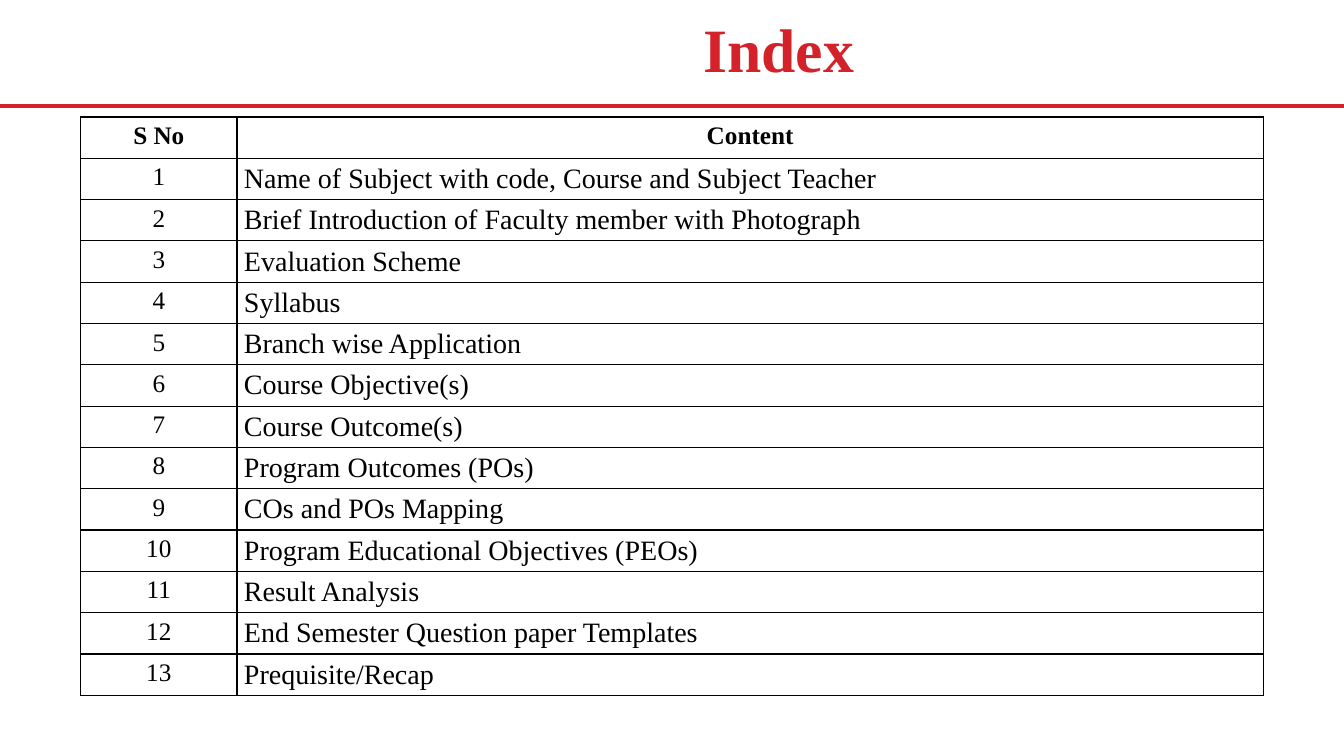
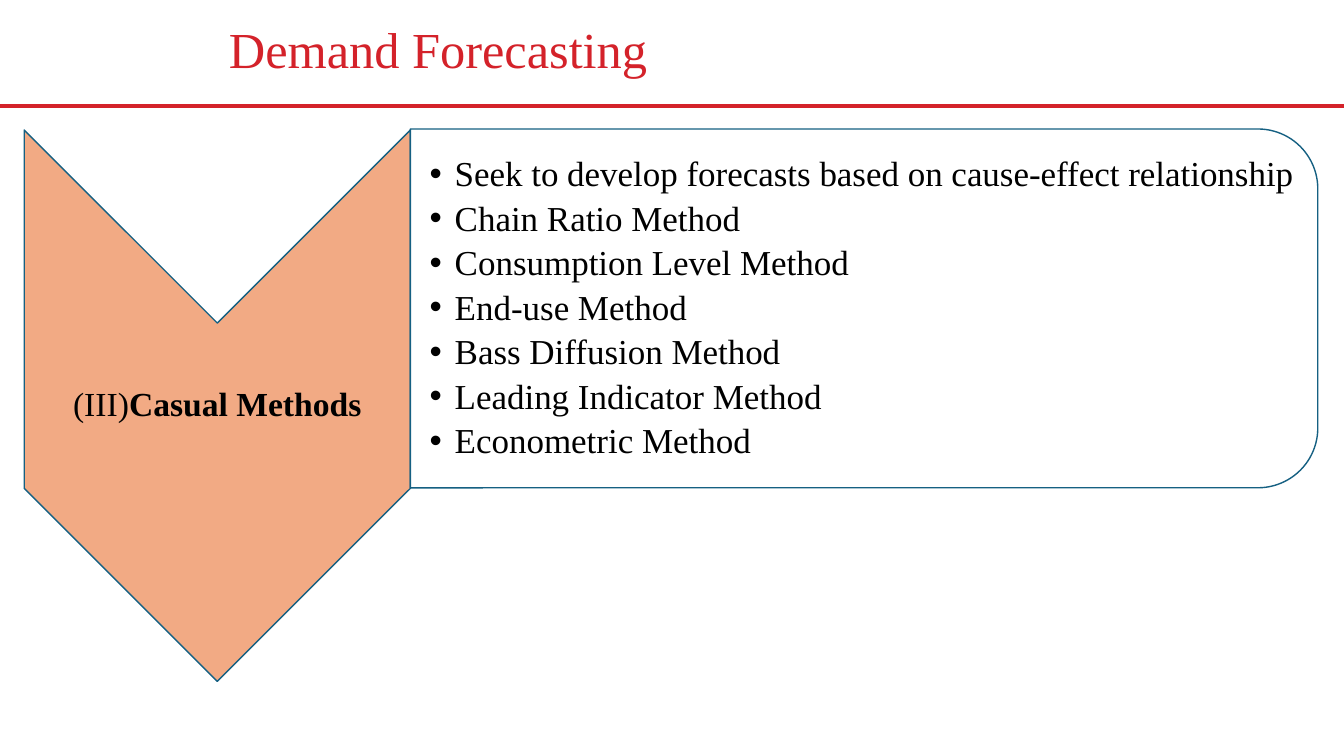
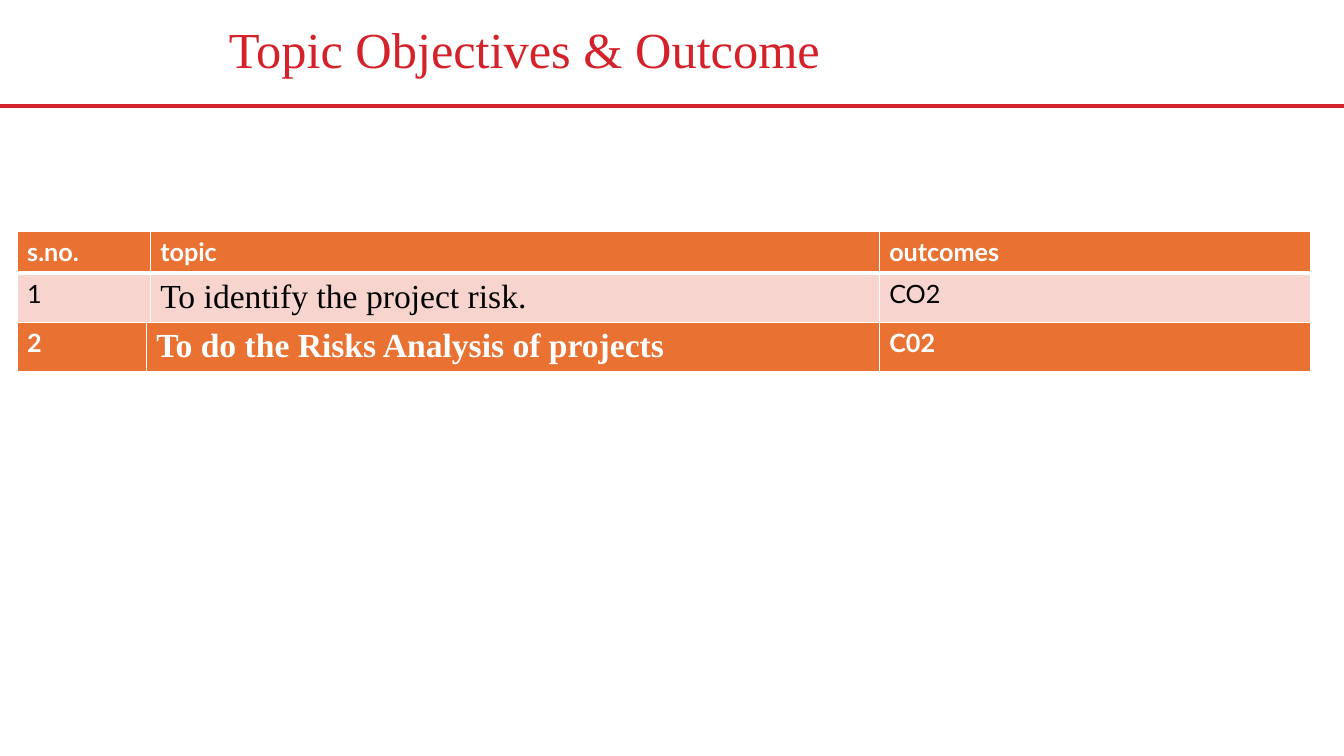
from lxml.etree import SubElement
from pptx import Presentation
from pptx.dml.color import RGBColor
from pptx.enum.shapes import MSO_CONNECTOR, MSO_SHAPE
from pptx.enum.text import MSO_ANCHOR, MSO_AUTO_SIZE, PP_ALIGN
from pptx.oxml.ns import qn
from pptx.util import Inches, Pt

COLORS = {
    "red": "D4222A", "black": "000000", "white": "FFFFFF", "orange": "E97132",
    "blush": "F7D5CE", "peach": "F2AA84", "teal": "156082",
}
SERIF, SANS = "Times New Roman", "Lato"

INDEX_TOPICS = [
    "Name of Subject with code, Course and Subject Teacher",
    "Brief Introduction of Faculty member with Photograph",
    "Evaluation Scheme",
    "Syllabus",
    "Branch wise Application",
    "Course Objective(s)",
    "Course Outcome(s)",
    "Program Outcomes (POs)",
    "COs and POs Mapping",
    "Program Educational Objectives (PEOs)",
    "Result Analysis",
    "End Semester Question paper Templates",
    "Prequisite/Recap",
]
CASUAL_METHODS = [
    "Seek to develop forecasts based on cause-effect relationship",
    "Chain Ratio Method",
    "Consumption Level Method",
    "End-use Method",
    "Bass Diffusion Method",
    "Leading Indicator Method",
    "Econometric Method",
]


def color(name):
    return RGBColor.from_string(COLORS[name])


def set_font(font, size, name=SERIF, ink="black", bold=False):
    font.size, font.name, font.bold = Pt(size), name, bold
    font.color.rgb = color(ink)


def set_margins(target, sides, ends, left=None):
    target.margin_left = Inches(sides if left is None else left)
    target.margin_right = Inches(sides)
    target.margin_top = target.margin_bottom = Inches(ends)


# Shared page furniture
def prepare_layout(deck):
    """Place the title and the red rule on the layout used by every page."""
    layout = deck.slide_layouts.get_by_name("Title Only")
    title = layout.placeholders[0]
    title.left, title.top = Inches(2.17), Inches(0.1)
    title.width, title.height = Inches(11.11), Inches(0.84)
    return layout


def add_header_rule(page):
    """Draw the red rule and hand it to the page's layout."""
    rule = page.shapes.add_connector(
        MSO_CONNECTOR.STRAIGHT, 0, Inches(1.05), Inches(13.33), Inches(1.05))
    rule.line.color.rgb = color("red")
    rule.line.width = Pt(3)
    SubElement(rule.element.spPr, qn("a:effectLst"))
    page.slide_layout.shapes.element.append(rule.element)


def add_page(deck, layout, title, size=36, bold=False, align=PP_ALIGN.LEFT):
    page = deck.slides.add_slide(layout)
    frame = page.shapes.title.text_frame
    frame.text = title
    frame.auto_size = MSO_AUTO_SIZE.NONE
    frame.vertical_anchor = MSO_ANCHOR.MIDDLE
    paragraph = frame.paragraphs[0]
    paragraph.alignment, paragraph.line_spacing = align, 0.9
    set_font(paragraph.font, size, ink="red", bold=bold)
    return page


# Tables
def add_table(page, left, top, widths, heights):
    table = page.shapes.add_table(
        len(heights), len(widths), Inches(left), Inches(top),
        Inches(sum(widths)), Inches(sum(heights))).table
    table.first_row = table.horz_banding = False
    for column, width in zip(table.columns, widths):
        column.width = Inches(width)
    for row, height in zip(table.rows, heights):
        row.height = Inches(height)
    return table


def set_borders(cell, ink, bottom=1):
    properties = cell._tc.get_or_add_tcPr()
    for side, width in (("L", 1), ("R", 1), ("T", 1), ("B", bottom)):
        line = SubElement(properties, qn(f"a:ln{side}"), w=str(Pt(width)))
        fill = SubElement(line, qn("a:solidFill"))
        SubElement(fill, qn("a:srgbClr"), val=COLORS[ink])


def fill_cell(cell, text, size, border, fill=None, bottom=1,
              align=PP_ALIGN.LEFT, **font):
    set_borders(cell, border, bottom)
    if fill:
        cell.fill.solid()
        cell.fill.fore_color.rgb = color(fill)
    else:
        cell.fill.background()
    cell.text = text
    paragraph = cell.text_frame.paragraphs[0]
    paragraph.alignment = align
    set_font(paragraph.font, size, **font)


def add_index_table(page):
    table = add_table(page, 0.8, 1.16, [1.55, 10.18],
                      [0.41] * (len(INDEX_TOPICS) + 1))
    for column, heading in enumerate(["S No", "Content"]):
        fill_cell(table.cell(0, column), heading, 18, "black",
                  align=PP_ALIGN.CENTER, bold=True)
    for number, topic in enumerate(INDEX_TOPICS, 1):
        fill_cell(table.cell(number, 0), str(number), 18, "black",
                  align=PP_ALIGN.CENTER)
        topic_cell = table.cell(number, 1)
        fill_cell(topic_cell, topic, 20, "black")
        set_margins(topic_cell, 0.07, 0.04)
        topic_cell.vertical_anchor = MSO_ANCHOR.MIDDLE


def fill_outcome_row(table, row, texts, strong, topic_font=(24, SERIF)):
    """Strong rows are orange with bold white text, others pale."""
    for column, text in enumerate(texts):
        size, name = topic_font if column == 1 else (18, SANS)
        fill_cell(table.cell(row, column), text, size, "white",
                  fill="orange" if strong else "blush",
                  bottom=3 if strong else 1, name=name,
                  ink="white" if strong else "black", bold=strong)


# Shapes and text
def add_turned_shape(page, kind, left, top, width, height, fill):
    """Add a shape turned a quarter; the box given is the one it covers."""
    shape = page.shapes.add_shape(
        kind, Inches(left + (width - height) / 2),
        Inches(top + (height - width) / 2), Inches(height), Inches(width))
    shape.rotation = 90
    shape.shadow.inherit = False
    shape.fill.solid()
    shape.fill.fore_color.rgb = color(fill)
    shape.line.color.rgb = color("teal")
    shape.line.width = Pt(1)


def add_text_box(page, left, top, width, height, margin_left=0.02):
    box = page.shapes.add_textbox(
        Inches(left), Inches(top), Inches(width), Inches(height))
    frame = box.text_frame
    frame.word_wrap = True
    frame.vertical_anchor = MSO_ANCHOR.MIDDLE
    set_margins(frame, 0.02, 0.02, margin_left)
    return frame


def add_bullets(frame, items, size):
    for position, item in enumerate(items):
        paragraph = frame.add_paragraph() if position else frame.paragraphs[0]
        paragraph.text = item
        properties = paragraph._p.get_or_add_pPr()
        properties.set("marL", str(Inches(0.25)))
        properties.set("indent", str(-Inches(0.25)))
        SubElement(properties, qn("a:buFont"), typeface="Arial")
        SubElement(properties, qn("a:buChar"), char="•")
        paragraph.line_spacing, paragraph.space_after = 0.9, Pt(4.8)
        set_font(paragraph.font, size)


def add_methods(page):
    add_turned_shape(page, MSO_SHAPE.CHEVRON, 0.24, 1.29, 3.83, 5.47, "peach")
    label = add_text_box(page, 0.24, 3.2, 3.83, 1.64).paragraphs[0]
    label.alignment, label.line_spacing = PP_ALIGN.CENTER, 0.9
    for text, bold in (("(III)", False), ("Casual Methods", True)):
        span = label.add_run()
        span.text = text
        set_font(span.font, 24, bold=bold)

    add_turned_shape(page, MSO_SHAPE.ROUND_2_SAME_RECTANGLE,
                     4.07, 1.28, 9, 3.56, "white")
    frame = add_text_box(page, 4.07, 1.46, 8.82, 3.21, margin_left=0.19)
    add_bullets(frame, CASUAL_METHODS, 25)


def add_outcomes(page):
    table = add_table(page, 0.17, 2.3, [1.32, 7.23, 4.28], [0.41, 0.5])
    fill_outcome_row(table, 0, ["s.no.", "topic", "outcomes"], True, (18, SANS))
    fill_outcome_row(table, 1, ["1", "To identify the project risk.", "CO2"], False)
    table = add_table(page, 0.17, 3.2, [1.28, 7.27, 4.28], [0.5])
    fill_outcome_row(
        table, 0, ["2", "To do the Risks Analysis of projects", "C02"], True)


def main():
    deck = Presentation()
    deck.slide_width, deck.slide_height = Inches(13.33), Inches(7.5)
    layout = prepare_layout(deck)

    index = add_page(deck, layout, "Index", 44, True, PP_ALIGN.CENTER)
    add_header_rule(index)
    add_index_table(index)
    add_methods(add_page(deck, layout, "Demand Forecasting"))
    add_outcomes(add_page(deck, layout, "Topic Objectives & Outcome"))
    deck.save("out.pptx")


if __name__ == "__main__":
    main()
